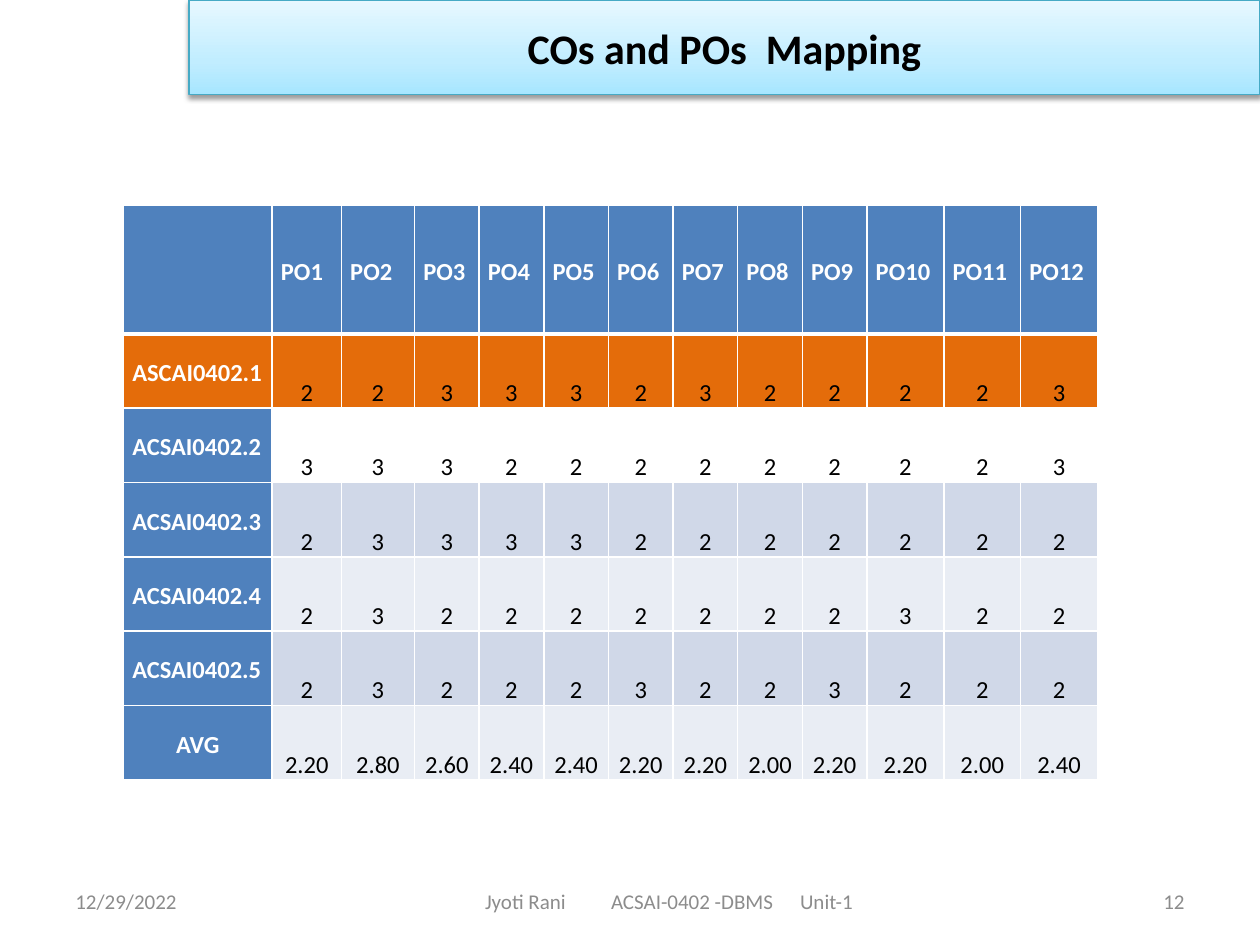
import dataclasses

import pptx
import pptx.dml.color
import pptx.enum.text
import pptx.oxml
import pptx.oxml.ns
import pptx.util

ALIGN = pptx.enum.text.PP_ALIGN
ANCHOR = pptx.enum.text.MSO_ANCHOR
NS = pptx.oxml.ns.nsdecls("a")


@dataclasses.dataclass(frozen=True)
class Theme:
    font: str = "Calibri"
    title_size: int = 24
    table_size: int = 14
    footer_size: int = 12
    white: str = "FFFFFF"
    black: str = "000000"
    grey: str = "8C8C8C"
    blue: str = "4F81BD"
    orange: str = "E46C0A"
    band_dark: str = "D0D8E8"
    band_light: str = "E9EDF4"
    title_line: str = "46AAC5"
    title_stops: tuple = ((0, "A7E6FF"), (35, "C1EDFF"), (100, "E7F8FF"))


def rgb(color):
    return pptx.dml.color.RGBColor.from_string(color)


class Deck:
    COLUMNS, ROWS = 100, 75

    def __init__(self, theme):
        self.theme = theme
        self.prs = pptx.Presentation()
        self.prs.slide_width = pptx.util.Inches(10)
        self.prs.slide_height = pptx.util.Inches(7.5)
        self.s = self.prs.slides.add_slide(self.prs.slide_layouts[5])

    def x(self, columns):
        return round(self.prs.slide_width * columns / self.COLUMNS)

    def y(self, rows):
        return round(self.prs.slide_height * rows / self.ROWS)

    def box(self, left, top, width, height):
        return self.x(left), self.y(top), self.x(width), self.y(height)

    def set_text(self, tf, text, size, color, align, bold=False):
        tf.text = text
        p = tf.paragraphs[0]
        p.alignment = align
        for r in p.runs:
            r.font.name = self.theme.font
            r.font.size = pptx.util.Pt(size)
            r.font.bold = bold
            r.font.color.rgb = rgb(color)
        return p

    def title(self, text, *box):
        t = self.theme
        sp = self.s.shapes.title
        sp.left, sp.top, sp.width, sp.height = self.box(*box)
        sp_pr = sp.element.spPr
        stops = "".join(
            f'<a:gs pos="{pos * 1000}"><a:srgbClr val="{color}"/></a:gs>'
            for pos, color in t.title_stops)
        sp_pr.append(pptx.oxml.parse_xml(
            f'<a:prstGeom {NS} prst="rect"><a:avLst/></a:prstGeom>'))
        sp_pr.append(pptx.oxml.parse_xml(
            f'<a:gradFill {NS} rotWithShape="1"><a:gsLst>{stops}</a:gsLst>'
            '<a:lin ang="16200000" scaled="0"/></a:gradFill>'))
        sp.line.color.rgb = rgb(t.title_line)
        sp.line.width = pptx.util.Pt(0.75)
        blur, dist = pptx.util.Pt(3.1), pptx.util.Pt(1.6)
        sp_pr.append(pptx.oxml.parse_xml(
            f'<a:effectLst {NS}><a:outerShdw blurRad="{blur}" dist="{dist}" '
            f'dir="5400000" rotWithShape="0"><a:srgbClr val="{t.black}">'
            '<a:alpha val="38000"/></a:srgbClr></a:outerShdw></a:effectLst>'))
        sp.text_frame.vertical_anchor = ANCHOR.MIDDLE
        self.set_text(sp.text_frame, text, t.title_size, t.black, ALIGN.CENTER, True)

    def footer(self, text, *box, align=ALIGN.LEFT, indent=1, tabs=()):
        tf = self.s.shapes.add_textbox(*self.box(*box)).text_frame
        tf.word_wrap = True
        tf.vertical_anchor = ANCHOR.MIDDLE
        tf.margin_left = self.x(indent)
        if tabs:
            stops = "".join(f'<a:tab pos="{self.x(tab)}" algn="l"/>' for tab in tabs)
            tf.paragraphs[0]._p.get_or_add_pPr().append(
                pptx.oxml.parse_xml(f"<a:tabLst {NS}>{stops}</a:tabLst>"))
        self.set_text(tf, text, self.theme.footer_size, self.theme.grey, align)

    def borders(self, cell, **widths):
        tc_pr = cell._tc.get_or_add_tcPr()
        for i, side in enumerate("LRTB"):
            width = pptx.util.Pt(widths.get(side, 1))
            tc_pr.insert(i, pptx.oxml.parse_xml(
                f'<a:ln{side} {NS} w="{width}"><a:solidFill>'
                f'<a:srgbClr val="{self.theme.white}"/></a:solidFill></a:ln{side}>'))

    def cell(self, cell, text, fill, header, align):
        t = self.theme
        cell.margin_left = cell.margin_right = pptx.util.Inches(0.07)
        cell.margin_top = cell.margin_bottom = 0
        cell.vertical_anchor = ANCHOR.MIDDLE if header else ANCHOR.BOTTOM
        if fill:
            cell.fill.solid()
            cell.fill.fore_color.rgb = rgb(fill)
        else:
            cell.fill.background()
        p = self.set_text(cell.text_frame, text, t.table_size,
                          t.white if header else t.black, align, header)
        p.line_spacing = 1.15
        if not header:
            p.space_after = pptx.util.Pt(10)

    def table(self, rows, fills, label_fills, left, top, widths, heights):
        frame = self.s.shapes.add_table(
            len(rows), len(widths),
            *self.box(left, top, sum(widths), sum(heights)))
        table = frame.table
        table.first_row = table.horz_banding = False
        for column, width in zip(table.columns, widths):
            column.width = self.x(width)
        for row, height in zip(table.rows, heights):
            row.height = self.y(height)
        for i, values in enumerate(rows):
            for j, text in enumerate(values):
                header = i == 0 or j == 0
                left_aligned = header and text != "AVG"
                self.cell(table.cell(i, j), text,
                          fills[i] if j else label_fills[i], header,
                          ALIGN.LEFT if left_aligned else ALIGN.CENTER)
                self.borders(table.cell(i, j), T=3 if i == 1 else 1,
                             B=3 if i == 0 else 1)


def mapping_rows():
    scores = {
        "ASCAI0402.1": "223332322223",
        "ACSAI0402.2": "333222222223",
        "ACSAI0402.3": "233332222222",
        "ACSAI0402.4": "232222222322",
        "ACSAI0402.5": "232223223222",
    }
    averages = [f"{sum(map(int, column)) / len(column):.2f}"
                for column in zip(*scores.values())]
    return [["", *(f"PO{n}" for n in range(1, 13))],
            *([label, *marks] for label, marks in scores.items()),
            ["AVG", *averages]]


def main():
    t = Theme()
    deck = Deck(t)
    deck.title("COs and POs  Mapping", 15, 0, 85, 7.5)
    deck.table(
        mapping_rows(),
        fills=[t.blue, t.orange, None] + [t.band_dark, t.band_light] * 2,
        label_fills=[t.blue, t.orange] + [t.blue] * 5,
        left=9.8, top=16.3,
        widths=[11.8, 5.5, 5.8] + [5.13] * 7 + [6.1] * 3,
        heights=[10.2] + [5.9] * 6)
    deck.footer("12/29/2022", 5, 69.5, 23.3, 4)
    deck.footer("Jyoti Rani\tACSAI-0402 -DBMS\tUnit-1", 27.5, 69.5, 55, 4,
                indent=11, tabs=(9.8, 28.7))
    deck.footer("12", 71.7, 69.5, 23.3, 4, align=ALIGN.RIGHT)
    deck.prs.save("out.pptx")


if __name__ == "__main__":
    main()
